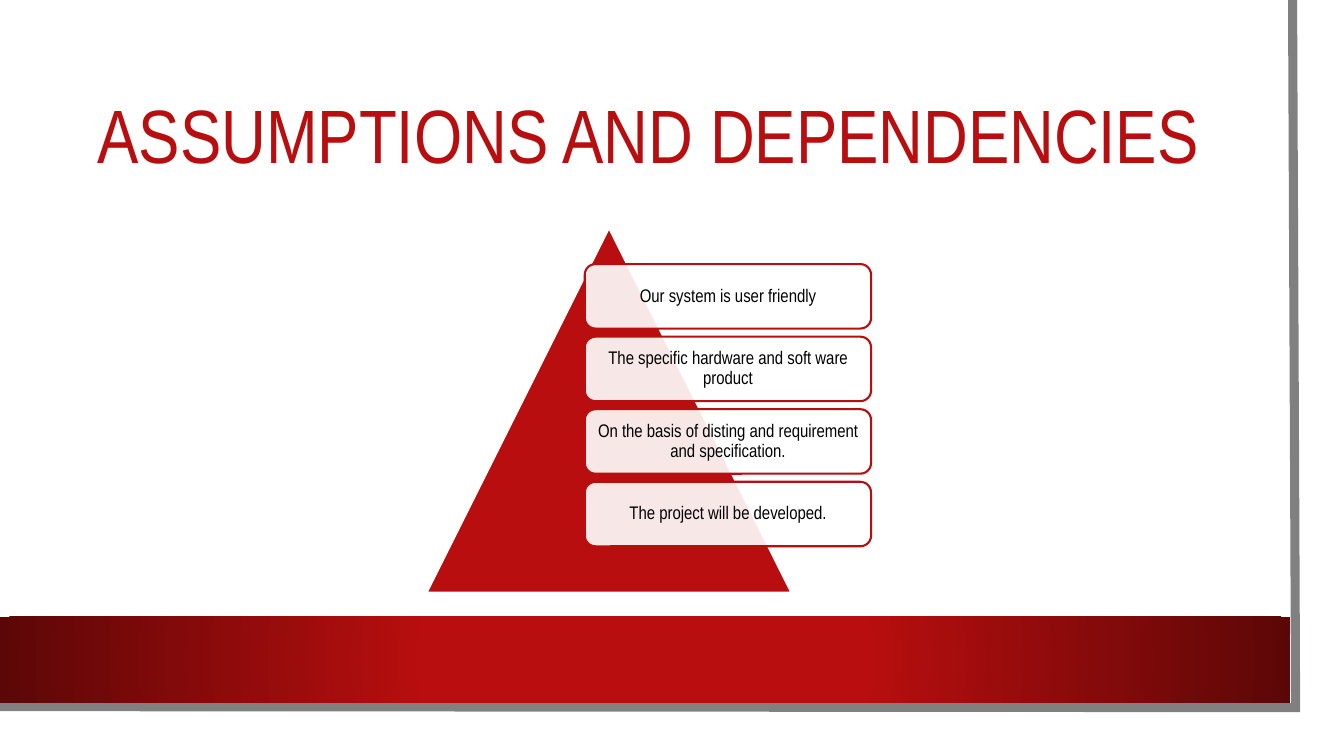
from lxml import etree
from pptx import Presentation
from pptx.dml.color import RGBColor
from pptx.enum.shapes import MSO_SHAPE
from pptx.enum.text import MSO_ANCHOR, PP_ALIGN
from pptx.oxml import parse_xml
from pptx.oxml.ns import nsdecls, qn
from pptx.util import Inches, Pt

RED = "B80E0F"
DARK_RED = "5C0707"
WHITE = "FFFFFF"


def color(hex_value):
    return RGBColor.from_string(hex_value)


def write_text(shape, text, size, hex_value):
    frame = shape.text_frame
    frame.word_wrap = True
    frame.vertical_anchor = MSO_ANCHOR.MIDDLE
    frame.text = text
    paragraph = frame.paragraphs[0]
    paragraph.alignment = PP_ALIGN.CENTER
    paragraph.line_spacing = 0.9
    font = paragraph.runs[0].font
    font.name = "Arial Narrow"
    font.size = Pt(size)
    font.color.rgb = color(hex_value)


presentation = Presentation()
presentation.slide_width = Inches(13.33)
presentation.slide_height = Inches(7.5)
slide = presentation.slides.add_slide(presentation.slide_layouts[6])
shapes = slide.shapes

# White sheet
sheet = shapes.add_shape(MSO_SHAPE.RECTANGLE, 0, 0, Inches(13.1), Inches(7.27))
sheet.shadow.inherit = False
sheet.fill.solid()
sheet.fill.fore_color.rgb = color(WHITE)
sheet.line.fill.background()

# Grey edge along the right and bottom
builder = shapes.build_freeform(Inches(12.82), 0)
builder.add_line_segments(
    [(Inches(12.85), Inches(7.02)), (Inches(-0.03), Inches(7.01))], close=False
)
edge = builder.convert_to_shape()
edge.shadow.inherit = False
edge.fill.background()
edge.line.color.rgb = color("808080")
edge.line.width = Pt(6.5)
etree.SubElement(edge.line._get_or_add_ln(), qn("a:miter")).set("lim", "800000")

# Red band with a radial gradient
band = shapes.add_shape(
    MSO_SHAPE.RECTANGLE, 0, Inches(6.12), Inches(12.8), Inches(0.85)
)
band.shadow.inherit = False
band.line.fill.background()
gradient = parse_xml(
    f'<a:gradFill {nsdecls("a")} rotWithShape="1"><a:gsLst>'
    f'<a:gs pos="34000"><a:srgbClr val="{RED}"/></a:gs>'
    f'<a:gs pos="100000"><a:srgbClr val="{DARK_RED}"/></a:gs></a:gsLst>'
    '<a:path path="circle"><a:fillToRect l="50000" t="50000" r="50000" b="50000"/>'
    "</a:path></a:gradFill>"
)
band._element.spPr.find(qn("a:prstGeom")).addnext(gradient)

# Title
title = shapes.add_textbox(Inches(0.75), Inches(0.75), Inches(11.37), Inches(1.26))
write_text(title, "ASSUMPTIONS AND DEPENDENCIES", 54, RED)

# Triangle
triangle = shapes.add_shape(
    MSO_SHAPE.ISOSCELES_TRIANGLE,
    Inches(4.23), Inches(2.26), Inches(3.62), Inches(3.62),
)
triangle.shadow.inherit = False
triangle.fill.solid()
triangle.fill.fore_color.rgb = color(RED)
triangle.line.color.rgb = color(WHITE)
triangle.line.width = Pt(1.5)

# Statement cards, slightly transparent over the triangle
statements = [
    "Our system is user friendly",
    "The specific hardware and soft ware product",
    "On the basis of disting and requirement and specification.",
    "The project will be developed.",
]
card_top, card_pitch = 2.62, 0.72
for index, statement in enumerate(statements):
    card = shapes.add_shape(
        MSO_SHAPE.ROUNDED_RECTANGLE,
        Inches(5.8), Inches(card_top + index * card_pitch),
        Inches(2.84), Inches(0.64),
    )
    card.shadow.inherit = False
    card.fill.solid()
    card.fill.fore_color.rgb = color(WHITE)
    fill_color = card._element.spPr.find(qn("a:solidFill")).find(qn("a:srgbClr"))
    etree.SubElement(fill_color, qn("a:alpha")).set("val", "90000")
    card.line.color.rgb = color(RED)
    card.line.width = Pt(1.5)
    frame = card.text_frame
    frame.margin_left = frame.margin_right = Inches(0.05)
    frame.margin_top = frame.margin_bottom = Inches(0.05)
    write_text(card, statement, 13, "000000")

presentation.save("out.pptx")
